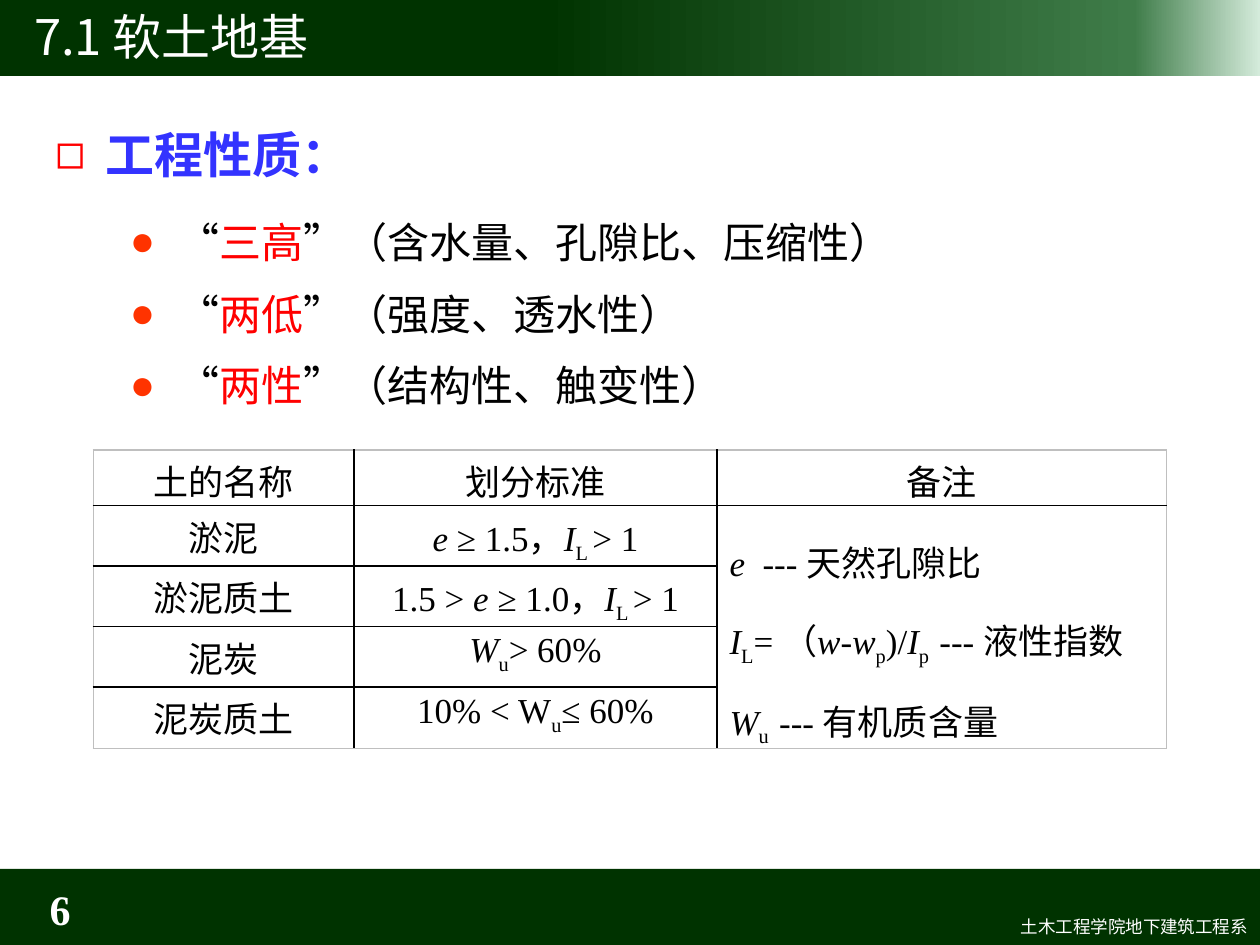
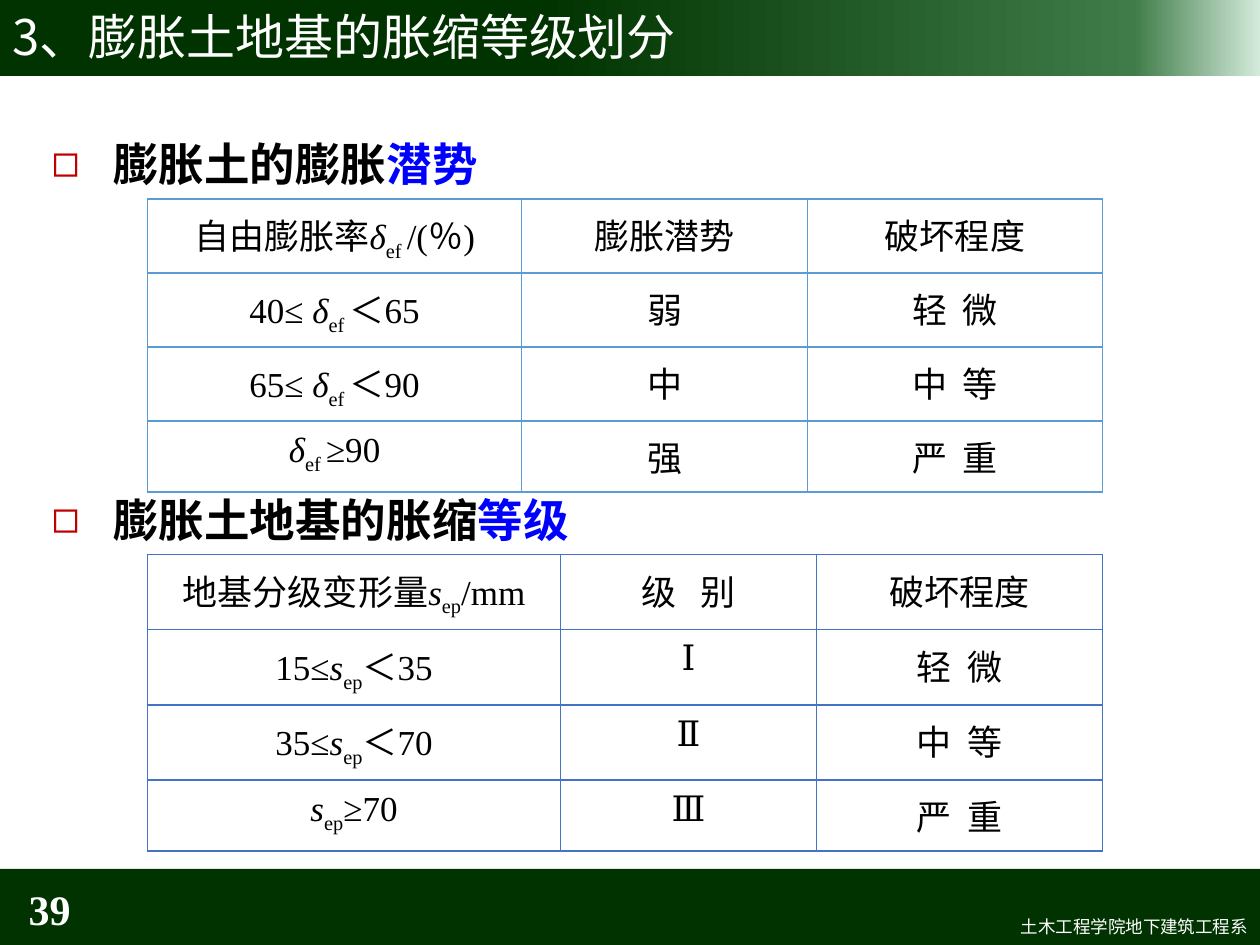
import pptx
import pptx.util
import pptx.dml.color
import pptx.enum.shapes
import pptx.enum.text
import pptx.oxml.ns
from dataclasses import dataclass
from lxml import etree

RGB = pptx.dml.color.RGBColor
Pt = pptx.util.Pt
Inches = pptx.util.Inches
ALIGN = pptx.enum.text.PP_ALIGN
ANCHOR = pptx.enum.text.MSO_ANCHOR
qn = pptx.oxml.ns.qn

DARK_GREEN = RGB(0x00, 0x33, 0x00)
MID_GREEN = RGB(0x3F, 0x7C, 0x49)
PALE_GREEN = RGB(0xD4, 0xEB, 0xDB)
WHITE = RGB(0xFF, 0xFF, 0xFF)
BLACK = RGB(0x00, 0x00, 0x00)
RED = RGB(0xFF, 0x00, 0x00)
ORANGE_RED = RGB(0xFF, 0x33, 0x00)
DARK_RED = RGB(0xC0, 0x00, 0x00)
HEADING_BLUE = RGB(0x33, 0x33, 0xFF)
BLUE = RGB(0x00, 0x00, 0xFF)
LIGHT_GREY = RGB(0xBF, 0xBF, 0xBF)
SKY_BLUE = RGB(0x5B, 0x9B, 0xD5)
STEEL_BLUE = RGB(0x44, 0x72, 0xC4)

SANS = "Noto Sans CJK SC"
SERIF = "Times New Roman"
SLIDE_WIDTH, SLIDE_HEIGHT = Inches(10), Inches(7.5)
GRID_COLUMNS, GRID_ROWS = 100, 75
DEPARTMENT = "土木工程学院地下建筑工程系"


@dataclass
class Box:
    """A region measured in grid columns and rows."""
    left: float
    top: float
    width: float
    height: float

    def emu(self):
        """Return left, top, width and height as lengths."""
        column, row = SLIDE_WIDTH / GRID_COLUMNS, SLIDE_HEIGHT / GRID_ROWS
        return (round(self.left * column), round(self.top * row),
                round(self.width * column), round(self.height * row))


@dataclass
class Style:
    """Type settings of a paragraph."""
    size: float
    face: str = SANS
    color: RGB = BLACK
    accent: RGB = RED
    bold: bool = False
    align: ALIGN = ALIGN.LEFT


HEADER = Box(0, 0, 100, 6.05)
FOOTER = Box(0, 68.95, 100, 6.05)
TITLE = Box(0, -0.3, 100, 6.3)
TITLE_STYLE = Style(28, color=WHITE)
NUMBER_STYLE = Style(24, SERIF, WHITE, bold=True, align=ALIGN.RIGHT)
DEPARTMENT_STYLE = Style(10, color=WHITE, align=ALIGN.RIGHT)
CELL_STYLE = Style(20, SERIF, align=ALIGN.CENTER)
NOTE_STYLE = Style(20, SERIF)


def write(paragraph, markup, style):
    """Write segments split by |, where ~ is italic, _ subscript and ^ accented."""
    paragraph.alignment = style.align
    paragraph.space_before = Pt(0)
    font = paragraph.font
    font.size, font.bold, font.name = Pt(style.size), style.bold, style.face
    font.color.rgb = style.color
    defaults = paragraph._p.pPr.find(qn("a:defRPr"))
    defaults.find(qn("a:latin")).addnext(
        etree.Element(qn("a:ea"), typeface=SANS))
    for segment in markup.split("|"):
        run = paragraph.add_run()
        run.text = segment.lstrip("~_^")
        if segment[0] == "~":
            run.font.italic = True
        elif segment[0] == "_":
            run.font._element.set("baseline", "-25000")
        elif segment[0] == "^":
            run.font.color.rgb = style.accent


def add_bullet(paragraph, mark, color, hang):
    """Give a paragraph a coloured bullet and a hanging indent in inches."""
    properties = paragraph._p.get_or_add_pPr()
    properties.set("marL", str(Inches(hang)))
    properties.set("indent", str(-Inches(hang)))
    bullet_color = etree.SubElement(properties, qn("a:buClr"))
    etree.SubElement(bullet_color, qn("a:srgbClr"), val=str(color))
    etree.SubElement(properties, qn("a:buFont"), typeface="Arial")
    etree.SubElement(properties, qn("a:buChar"), char=mark)


def prepare(shape, box, anchor=ANCHOR.TOP):
    """Place a text shape and return its frame."""
    shape.left, shape.top, shape.width, shape.height = box.emu()
    frame = shape.text_frame
    frame.word_wrap = True
    frame.auto_size = pptx.enum.text.MSO_AUTO_SIZE.NONE
    frame.vertical_anchor = anchor
    return frame


def add_label(slide, box, anchor=ANCHOR.TOP):
    """Add a text box and return its first paragraph."""
    return prepare(slide.shapes.add_textbox(*box.emu()), box, anchor).paragraphs[0]


def paragraphs_of(frame, count):
    """Return the given number of paragraphs of an empty frame."""
    return [frame.paragraphs[0]] + [frame.add_paragraph() for _ in range(count - 1)]


def add_band(slide, box, stops=()):
    """Put a green band behind everything, graded if stops are given."""
    band = slide.shapes.add_shape(
        pptx.enum.shapes.MSO_SHAPE.RECTANGLE, *box.emu())
    band.shadow.inherit = False
    band.line.fill.background()
    if stops:
        band.fill.gradient()
        band.fill.gradient_angle = 0
        stop_list = band._element.spPr.find(".//" + qn("a:gsLst"))
        for old_stop in list(stop_list):
            stop_list.remove(old_stop)
        for percent, color in stops:
            stop = etree.SubElement(stop_list, qn("a:gs"), pos=str(percent * 1000))
            etree.SubElement(stop, qn("a:srgbClr"), val=str(color))
    else:
        band.fill.solid()
        band.fill.fore_color.rgb = DARK_GREEN
    slide.shapes.element.insert(2, band._element)


def start_slide(deck, title, number, title_inset=0.1):
    """Add a slide with bands, title, page number and department."""
    slide = deck.slides.add_slide(deck.slide_layouts[1])
    add_band(slide, HEADER,
             [(0, DARK_GREEN), (43, DARK_GREEN), (90, MID_GREEN), (100, PALE_GREEN)])
    add_band(slide, FOOTER)
    frame = prepare(slide.shapes.title, TITLE, ANCHOR.MIDDLE)
    frame.margin_left = Inches(title_inset)
    write(frame.paragraphs[0], title, TITLE_STYLE)
    write(add_label(slide, Box(0, 70.1, 6.6, 4), ANCHOR.MIDDLE), number, NUMBER_STYLE)
    write(add_label(slide, Box(42.1, 72.2, 57.9, 2.7)), DEPARTMENT, DEPARTMENT_STYLE)
    return slide


def set_borders(cell, colors):
    """Draw the left, right, top and bottom borders of a cell."""
    properties = cell._tc.get_or_add_tcPr()
    for side, color in zip("LRTB", colors):
        line = etree.SubElement(properties, qn("a:ln" + side), w=str(Pt(1)))
        fill = etree.SubElement(line, qn("a:solidFill"))
        etree.SubElement(fill, qn("a:srgbClr"), val=str(color))


def add_grid(slide, box, shares, heights, rows, inner, outer, insets, merged=None):
    """Add a ruled table, merging the body of one column if it is given."""
    table = slide.shapes.add_table(len(rows), len(shares), *box.emu()).table
    table.first_row = table.horz_banding = False
    for column, share in zip(table.columns, shares):
        column.width = round(box.emu()[2] * share / sum(shares))
    for row, height in zip(table.rows, heights):
        row.height = round(SLIDE_HEIGHT / GRID_ROWS * height)
    last_row, last_column = len(rows) - 1, len(shares) - 1
    for r, texts in enumerate(rows):
        for c in range(len(shares)):
            cell = table.cell(r, c)
            at_bottom = r == last_row or (c == merged and r > 0)
            edges = c == 0, c == last_column, r == 0, at_bottom
            set_borders(cell, [outer if edge else inner for edge in edges])
            cell.fill.background()
            cell.margin_top, cell.margin_bottom = map(Inches, insets)
            if c < len(texts):
                write(cell.text_frame.paragraphs[0], texts[c], CELL_STYLE)
    if merged is not None:
        table.cell(1, merged).merge(table.cell(last_row, merged))
    return table


def add_properties(slide, box):
    """Add the heading and the list of engineering properties."""
    heading = add_label(slide, Box(box.left, box.top, 40, 5.7))
    add_bullet(heading, "◻", RED, 0.4)
    write(heading, "工程性质：", Style(28, color=HEADING_BLUE, bold=True))
    items = ["“|^三高|”（含水量、孔隙比、压缩性）",
             "“|^两低|”（强度、透水性）",
             "“|^两性|”（结构性、触变性）"]
    indent, drop = 5.9, 6.4
    frame = prepare(slide.placeholders[1],
                    Box(box.left + indent, box.top + drop,
                        box.width - indent, box.height - drop))
    for index, (paragraph, item) in enumerate(
            zip(paragraphs_of(frame, len(items)), items)):
        add_bullet(paragraph, "●", ORANGE_RED, 0.38)
        write(paragraph, item, Style(24, SERIF))
        paragraph.line_spacing = Pt(35)
        paragraph.space_before = Pt(6 if index else 0)


def add_soil_table(slide, box):
    """Add the soil classification table with its merged notes."""
    rows = [["土的名称", "划分标准", "备注"],
            ["淤泥", "~e |≥ 1.5，|~I|_L |> 1"],
            ["淤泥质土", "1.5 > |~e |≥ 1.0，|~I|_L |> 1"],
            ["泥炭", "~W|_u|> 60%"],
            ["泥炭质土", "10% < W|_u|≤ 60%"]]
    notes = ["~e|  --- 天然孔隙比",
             "~I|_L|= （|~w|-|~w|_p|)/|~I|_p  |--- 液性指数",
             "~W|_u  |--- 有机质含量"]
    table = add_grid(slide, box, [2.07, 2.88, 3.57], [4.3] + [4.8] * 4, rows,
                     BLACK, LIGHT_GREY, (0.04, 0), merged=2)
    remarks = table.cell(1, 2)
    remarks.vertical_anchor = ANCHOR.MIDDLE
    for paragraph, note in zip(paragraphs_of(remarks.text_frame, len(notes)), notes):
        write(paragraph, note, NOTE_STYLE)
        paragraph.line_spacing = 1.5


def add_swelling_headings(slide, box):
    """Add the two headings, leaving room for a table between them."""
    headings = ["膨胀土的膨胀|^潜势", "膨胀土地基的胀缩|^等级"]
    frame = prepare(slide.placeholders[1], box)
    for paragraph, heading, gap in zip(paragraphs_of(frame, 2), headings, (0, 156.6)):
        add_bullet(paragraph, "◻", DARK_RED, 0.49)
        write(paragraph, heading, Style(26, accent=BLUE, bold=True))
        paragraph.line_spacing = 1.5
        paragraph.space_before = Pt(gap)


def add_grade_table(slide, box, shares, height, header, ranges, grades, color):
    """Add a table that matches ranges and grades to the damage degree."""
    damage = ["轻  微", "中  等", "严  重"]
    add_grid(slide, box, shares, [height] * 3 + [5.6],
             [header + ["破坏程度"], *zip(ranges, grades, damage)],
             color, color, (0.08, 0.08))


def build_soft_soil(deck):
    """Build the slide on soft soil foundations."""
    slide = start_slide(deck, "7.1 软土地基", "6", title_inset=0.27)
    add_properties(slide, Box(3.4, 9.4, 96.6, 23.8))
    add_soil_table(slide, Box(7.4, 35.7, 85.2, 23.5))


def build_expansive_soil(deck):
    """Build the slide on swelling grades of expansive soil."""
    slide = start_slide(deck, "3、膨胀土地基的胀缩等级划分", "39")
    add_swelling_headings(slide, Box(3.1, 8.1, 93.8, 58.6))
    add_grade_table(slide, Box(11.7, 15.8, 75.8, 23.2), [2.97, 2.27, 2.34], 5.87,
                    ["自由膨胀率|~δ|_ef |/(％)", "膨胀潜势"],
                    ["40≤ |~δ|_ef |＜65", "65≤ |~δ|_ef |＜90", "~δ|_ef |≥90"],
                    "弱中强", SKY_BLUE)
    add_grade_table(slide, Box(11.7, 44, 75.8, 23.6), [3.28, 2.03, 2.27], 5.97,
                    ["地基分级变形量|~s|_ep|/mm", "级   别"],
                    ["15≤|~s|_ep|＜35", "35≤|~s|_ep|＜70", "~s|_ep|≥70"],
                    "ⅠⅡⅢ", STEEL_BLUE)


def main():
    """Build and save the deck."""
    deck = pptx.Presentation()
    deck.slide_width, deck.slide_height = SLIDE_WIDTH, SLIDE_HEIGHT
    build_soft_soil(deck)
    build_expansive_soil(deck)
    deck.save("out.pptx")


if __name__ == "__main__":
    main()
